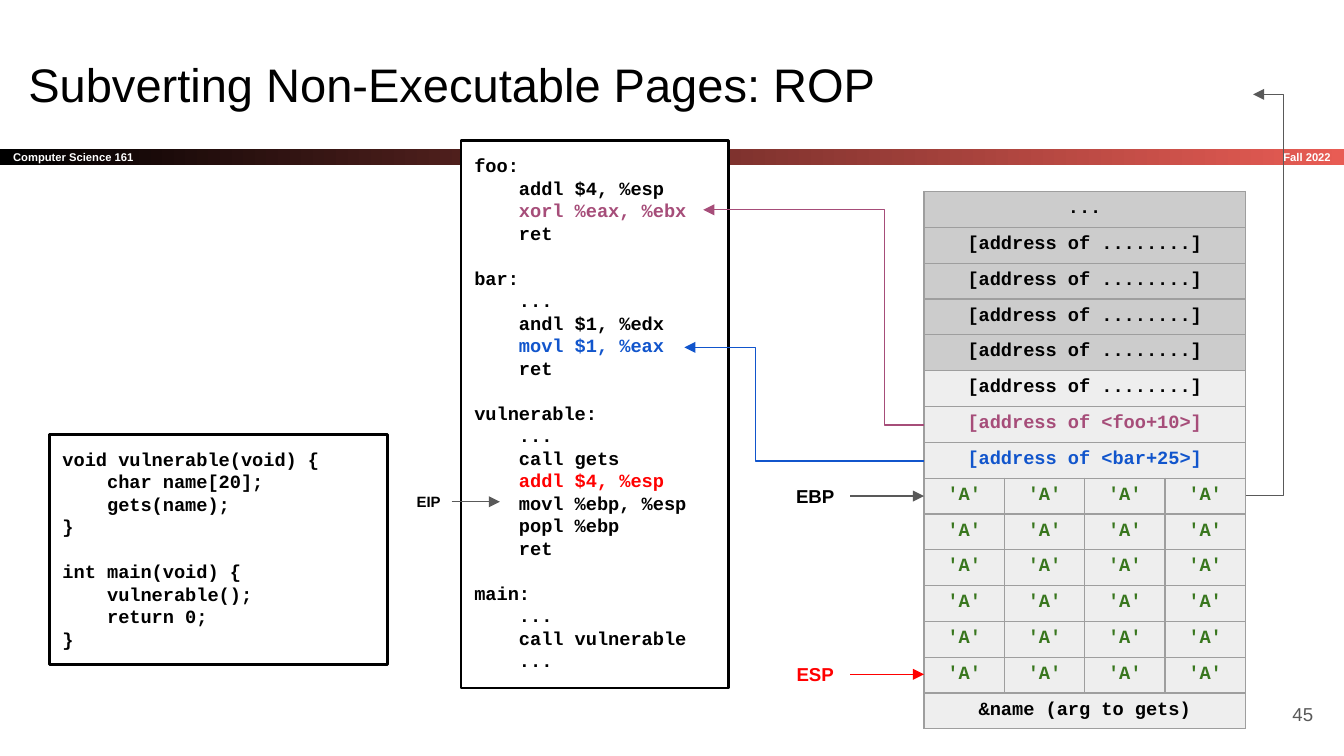
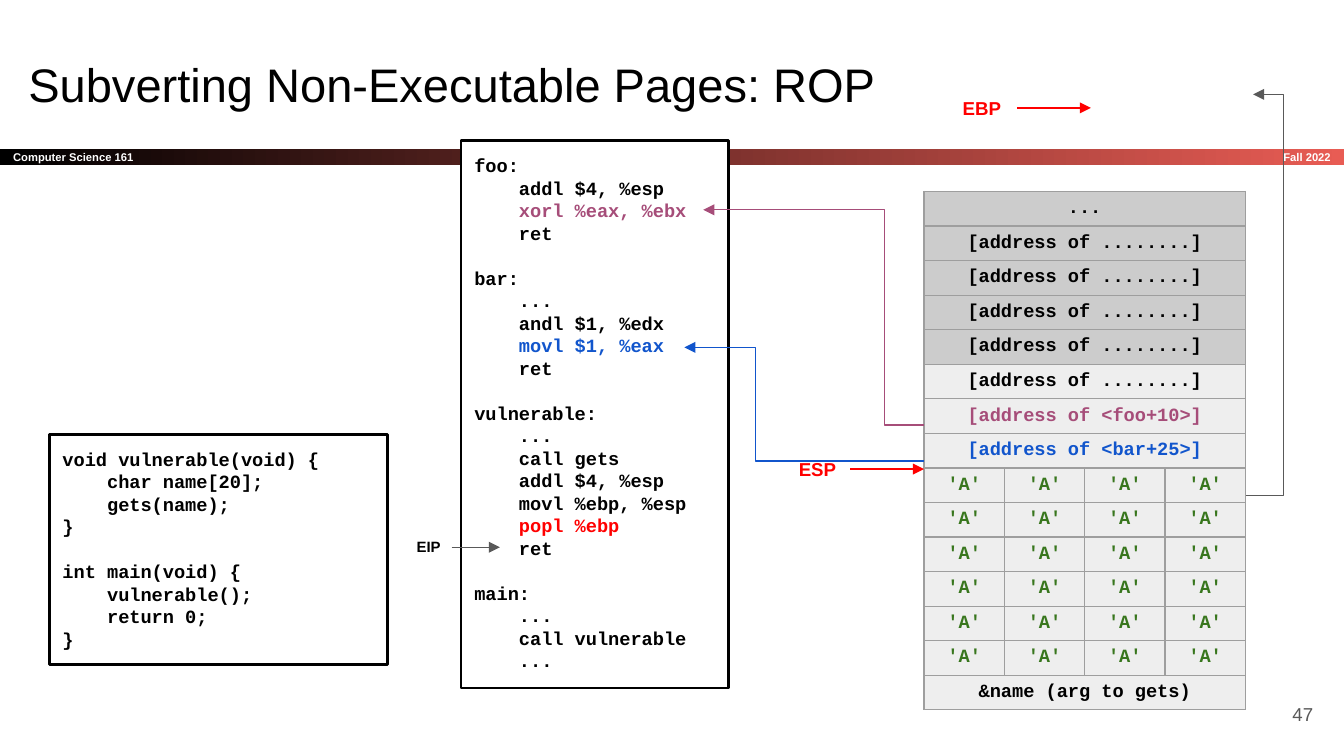
"""Build two slides that step through a return-oriented programming attack."""
from lxml import etree
from pptx import Presentation
from pptx.dml.color import RGBColor
from pptx.enum.shapes import MSO_CONNECTOR, MSO_SHAPE
from pptx.enum.text import MSO_ANCHOR, MSO_AUTO_SIZE, PP_ALIGN
from pptx.oxml.ns import qn
from pptx.util import Pt

LEFT, CENTER, RIGHT = PP_ALIGN.LEFT, PP_ALIGN.CENTER, PP_ALIGN.RIGHT
TOP, MIDDLE, BOTTOM = MSO_ANCHOR.TOP, MSO_ANCHOR.MIDDLE, MSO_ANCHOR.BOTTOM
RECTANGLE, STRAIGHT = MSO_SHAPE.RECTANGLE, MSO_CONNECTOR.STRAIGHT
NO_AUTOFIT = MSO_AUTO_SIZE.NONE

BLACK = RGBColor(0x00, 0x00, 0x00)
WHITE = RGBColor(0xFF, 0xFF, 0xFF)
CORAL = RGBColor(0xE8, 0x5C, 0x54)
RED = RGBColor(0xFF, 0x00, 0x00)
PLUM = RGBColor(0xA6, 0x4D, 0x79)
BLUE = RGBColor(0x11, 0x55, 0xCC)
GREEN = RGBColor(0x38, 0x76, 0x1D)
GRAY = RGBColor(0x59, 0x59, 0x59)
BORDER = RGBColor(0x9E, 0x9E, 0x9E)
SHADED = RGBColor(0xCC, 0xCC, 0xCC)
PALE = RGBColor(0xEE, 0xEE, 0xEE)

SANS, MONO = "Arial", "Courier New"
LINE_PITCH = 12.05
TABLE_LEFT, TABLE_TOP, COLUMN = 495, 102.6, 43.05

SOURCE = """void vulnerable(void) {
    char name[20];
    gets(name);
}

int main(void) {
    vulnerable();
    return 0;
}"""

ASSEMBLY = """foo:
    addl $4, %esp
    xorl %eax, %ebx
    ret

bar:
    ...
    andl $1, %edx
    movl $1, %eax
    ret

vulnerable:
    ...
    call gets
    addl $4, %esp
    movl %ebp, %esp
    popl %ebp
    ret

main:
    ...
    call vulnerable
    ..."""

ADDRESS = "[address of ........]"
STACK = (
    [("...", BLACK, SHADED)]
    + [(ADDRESS, BLACK, SHADED)] * 4
    + [(ADDRESS, BLACK, PALE),
       ("[address of <foo+10>]", PLUM, PALE),
       ("[address of <bar+25>]", BLUE, PALE)]
    + [("'A'", GREEN, PALE)] * 6
    + [("&name (arg to gets)", BLACK, PALE)]
)


def write(frame, text, font=SANS, size=10, color=BLACK, bold=True, align=LEFT,
          anchor=TOP, inset=7.2, pitch=None, highlights=None):
    frame.auto_size = NO_AUTOFIT
    frame.word_wrap = True
    frame.vertical_anchor = anchor
    frame.margin_left = frame.margin_right = Pt(inset)
    frame.margin_top = frame.margin_bottom = Pt(inset)
    gap = False
    for number, line in enumerate(text.splitlines()):
        if not line:
            gap = True
            continue
        para = frame.add_paragraph() if number else frame.paragraphs[0]
        para.alignment = align
        if pitch:
            para.line_spacing = Pt(pitch)
            para.space_before = Pt(pitch if gap else 0)
        gap = False
        span = para.add_run()
        span.text = line
        span.font.name = font
        span.font.size = Pt(size)
        span.font.bold = bold
        span.font.color.rgb = (highlights or {}).get(number, color)


class Deck:
    def __init__(self):
        self.show = Presentation()
        self.show.slide_width, self.show.slide_height = Pt(720), Pt(405)
        self.layout = self.show.slide_layouts[5]
        self.page = None

    def add_page(self, title, number):
        first = self.page is None
        self.page = self.show.slides.add_slide(self.layout)
        if first:
            self.add_band()
        heading = self.page.shapes.title
        heading.left, heading.top = Pt(8), Pt(21.6)
        heading.width, heading.height = Pt(671), Pt(45.4)
        write(heading.text_frame, title, size=25.2, bold=False, anchor=BOTTOM)
        self.add_text(str(number), 667.4, 367.2, 43.2, 31, color=GRAY,
                      bold=False, align=RIGHT, anchor=MIDDLE)

    def add_band(self):
        band = self.add_box(0, 80.1, 720, 8.4)
        band.line.fill.background()
        band.fill.gradient()
        band.fill.gradient_angle = 0
        for stop, color in zip(band.fill.gradient_stops, (BLACK, CORAL)):
            stop.color.rgb = color
        style = {"size": 6, "color": WHITE, "anchor": MIDDLE}
        write(band.text_frame, "Computer Science 161", **style)
        term = self.add_text("Fall 2022", 600.5, 80.1, 119.5, 8.4, align=RIGHT, **style)
        for shape in (band, term):
            self.layout.shapes.element.append(shape.element)

    def add_text(self, text, left, top, width, height, **style):
        box = self.page.shapes.add_textbox(Pt(left), Pt(top), Pt(width), Pt(height))
        write(box.text_frame, text, **style)
        return box

    def add_box(self, left, top, width, height):
        box = self.page.shapes.add_shape(RECTANGLE, Pt(left), Pt(top), Pt(width), Pt(height))
        box.shadow.inherit = False
        box.fill.solid()
        box.fill.fore_color.rgb = WHITE
        box.line.color.rgb = BLACK
        box.line.width = Pt(1.5)
        return box

    def add_code(self, text, left, top, width, height, highlights=None):
        box = self.add_box(left, top, width, height)
        write(box.text_frame, text, font=MONO, pitch=LINE_PITCH, highlights=highlights)

    def point(self, shape, color):
        shape.line.color.rgb = color
        shape.line.width = Pt(0.75)
        outline = shape.element.spPr.find(qn("a:ln"))
        etree.SubElement(outline, qn("a:tailEnd"), type="triangle")

    def add_arrow(self, start, end, middle, color):
        arrow = self.page.shapes.add_connector(STRAIGHT, Pt(start), Pt(middle), Pt(end), Pt(middle))
        self.point(arrow, color)
        etree.SubElement(arrow.element.spPr, qn("a:effectLst"))

    def add_elbow(self, start, bend, end, color):
        (left, low), (tip, high) = start, end
        builder = self.page.shapes.build_freeform(Pt(left), Pt(low))
        corners = [(bend, low), (bend, high), (tip, high)]
        builder.add_line_segments([(Pt(x), Pt(y)) for x, y in corners], close=False)
        elbow = builder.convert_to_shape()
        elbow.fill.background()
        elbow.shadow.inherit = False
        self.point(elbow, color)

    def add_register(self, name, left, tip, middle, color=BLACK):
        self.add_text(name, left, middle - 13.3, 38.2, 26.6, color=color, align=CENTER)
        self.add_arrow(tip - 39.4, tip, middle, GRAY if color == BLACK else color)

    def add_instruction_pointer(self, middle):
        self.add_text("EIP", 217.4, middle - 8.6, 24.5, 17.2, size=8,
                      align=CENTER, inset=3.6)
        self.add_arrow(241.9, 267.8, middle, GRAY)

    def add_stack(self, row_height):
        frame = self.page.shapes.add_table(len(STACK), 4, Pt(TABLE_LEFT), Pt(TABLE_TOP),
                                           Pt(4 * COLUMN), Pt(len(STACK) * row_height))
        table = frame.table
        table.first_row = table.horz_banding = False
        for column in table.columns:
            column.width = Pt(COLUMN)
        for index, (text, color, fill) in enumerate(STACK):
            table.rows[index].height = Pt(row_height)
            cells = [table.cell(index, column) for column in range(4)]
            for cell in cells:
                self.format_cell(cell, fill)
            if text != "'A'":
                cells[0].merge(cells[-1])
                cells = cells[:1]
            for cell in cells:
                self.fill_cell(cell, text, color)

    def format_cell(self, cell, fill):
        properties = cell._tc.get_or_add_tcPr()
        for side in ("a:lnL", "a:lnR", "a:lnT", "a:lnB"):
            edge = etree.SubElement(properties, qn(side), w=str(Pt(0.75)))
            paint = etree.SubElement(edge, qn("a:solidFill"))
            etree.SubElement(paint, qn("a:srgbClr"), val=str(BORDER))
        cell.fill.solid()
        cell.fill.fore_color.rgb = fill
        cell.margin_left = cell.margin_right = Pt(3.6)
        cell.margin_top = cell.margin_bottom = Pt(3.6)

    def fill_cell(self, cell, text, color):
        para = cell.text_frame.paragraphs[0]
        para.alignment = CENTER
        span = para.add_run()
        span.text = text
        span.font.name = MONO
        span.font.size = Pt(10)
        span.font.bold = True
        span.font.color.rgb = color

    def add_step(self, number, active_line, pointer, row_height, registers):
        self.add_page("Subverting Non-Executable Pages: ROP", number)
        self.add_stack(row_height)
        self.add_code(ASSEMBLY, 247, 75.4, 143.4, 293.2,
                      {2: PLUM, 8: BLUE, active_line: RED})
        self.add_code(SOURCE, 26.4, 232.6, 181.4, 123.6)
        self.add_instruction_pointer(pointer)
        for register in registers:
            self.add_register(*register)
        self.add_elbow((667.4, 265.4), 687.6, (671.3, 50.6), GRAY)
        self.add_elbow((495, 227.8), 473.8, (376.7, 112.4), PLUM)
        self.add_elbow((495, 246.9), 404.9, (366.6, 186.1), BLUE)


def main():
    deck = Deck()
    deck.add_step(45, 14, 268.8, 19.2, [("ESP", 417.6, 495, 361.3, RED),
                                        ("EBP", 417.6, 495, 265.8)])
    deck.add_step(47, 16, 293.2, 18.45, [("EBP", 506.9, 584.4, 57.8, RED),
                                         ("ESP", 418.8, 495, 251.3, RED)])
    deck.show.save("out.pptx")


if __name__ == "__main__":
    main()
